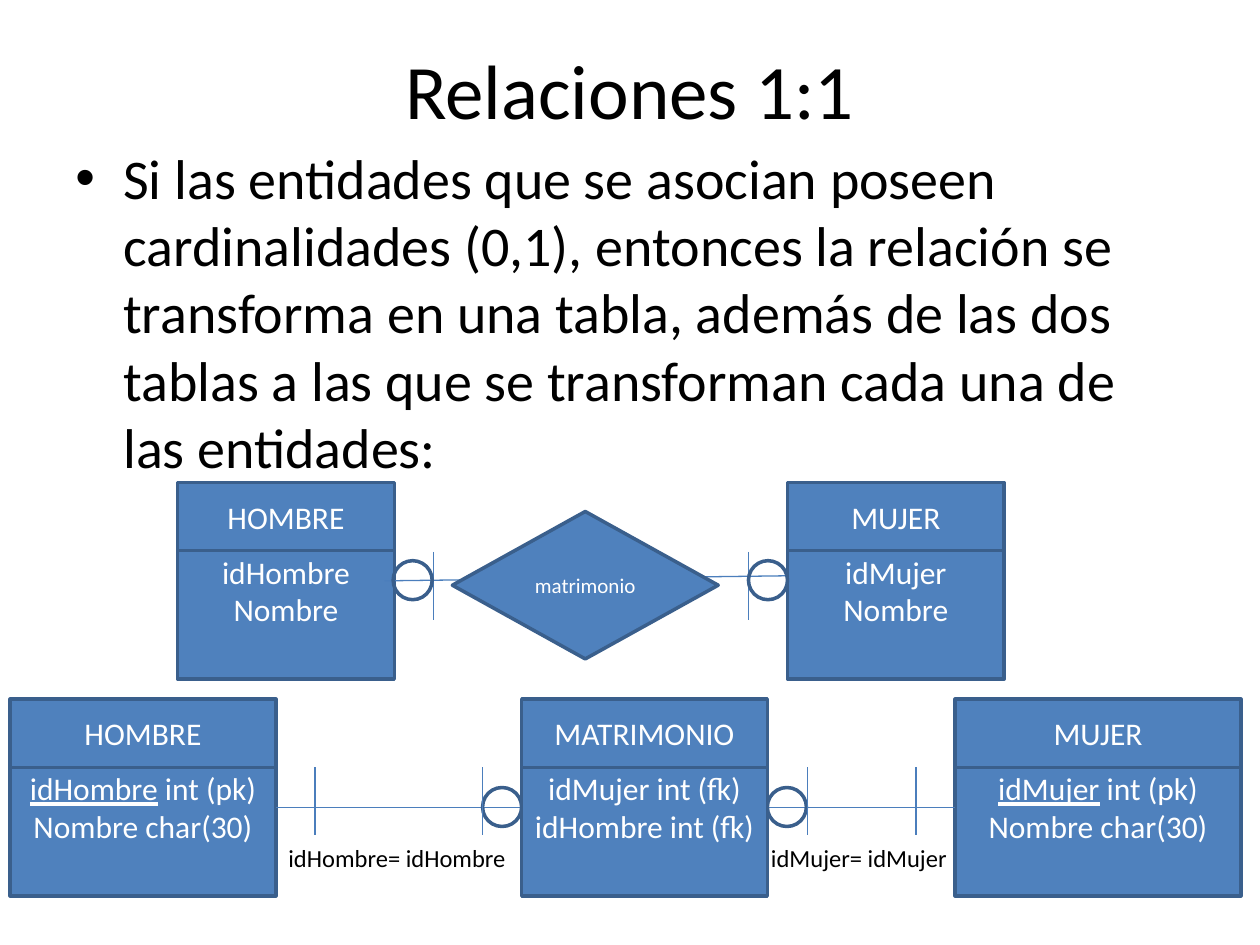
from dataclasses import dataclass

from lxml import etree
from pptx import Presentation
from pptx import util as u
from pptx.dml.color import RGBColor
from pptx.enum import shapes, text
from pptx.oxml import ns

FONT = "Calibri"
FILL, EDGE, WIRE = "4F81BD", "3A5F8C", "4B7EBC"
BLACK, WHITE = "000000", "FFFFFF"
HEAD, BODY, SHIFT = 0.54, 1.41, 0.15
RING, TICK = 0.31, 0.54
UPPER, LOWER = 3.83, 5.55


@dataclass
class Entity:
    x: float
    y: float
    w: float
    name: str
    rows: list[str]
    key: str = ""


@dataclass
class Wire:
    x1: float
    y1: float
    x2: float
    y2: float


@dataclass
class Label:
    x: float
    w: float
    words: str


def paint(target, color: str) -> None:
    target.rgb = RGBColor.from_string(color)


def style(par, size: float, color: str, align=text.PP_ALIGN.CENTER) -> None:
    par.alignment = align
    par.font.name = FONT
    par.font.size = u.Pt(size)
    paint(par.font.color, color)


def area(x: float, y: float, w: float, h: float) -> list:
    return [u.Inches(n) for n in (x, y, w, h)]


def draw_shape(slide, kind, box: list, rows=(), size=18, key="", solid=True) -> None:
    shape = slide.shapes.add_shape(kind, *box)
    shape.shadow.inherit = False
    if solid:
        shape.fill.solid()
        paint(shape.fill.fore_color, FILL)
    else:
        shape.fill.background()
    paint(shape.line.color, EDGE)
    shape.line.width = u.Pt(2)
    frame = shape.text_frame
    frame.word_wrap = True
    frame.vertical_anchor = text.MSO_ANCHOR.MIDDLE
    for i, row in enumerate(rows):
        par = frame.add_paragraph() if i else frame.paragraphs[0]
        style(par, size, WHITE)
        if key and row.startswith(key):
            run = par.add_run()
            run.text = key
            run.font.underline = True
            row = row.removeprefix(key)
        par.add_run().text = row


def draw_entity(slide, item: Entity) -> None:
    rect = shapes.MSO_SHAPE.RECTANGLE
    draw_shape(slide, rect, area(item.x, item.y + SHIFT, item.w, BODY), item.rows, key=item.key)
    draw_shape(slide, rect, area(item.x, item.y, item.w, HEAD), [item.name])


def draw_wire(slide, wire: Wire) -> None:
    ends = area(wire.x1, wire.y1, wire.x2, wire.y2)
    line = slide.shapes.add_connector(shapes.MSO_CONNECTOR.STRAIGHT, *ends)
    paint(line.line.color, WIRE)
    line.line.width = u.Pt(0.75)
    etree.SubElement(line._element.spPr, ns.qn("a:effectLst"))


def draw_tick(slide, x: float, y: float) -> None:
    draw_wire(slide, Wire(x, y, x, y + TICK))


def draw_ring(slide, x: float, y: float) -> None:
    draw_shape(slide, shapes.MSO_SHAPE.OVAL, area(x, y, RING, RING), solid=False)


def draw_text(slide, box: list, words: str, size: float):
    frame = slide.shapes.add_textbox(*box).text_frame
    frame.word_wrap = True
    par = frame.paragraphs[0]
    par.text = words
    style(par, size, BLACK, text.PP_ALIGN.LEFT)
    return par


def add_bullet(par) -> None:
    props = par._p.get_or_add_pPr()
    props.set("marL", str(u.Inches(0.38)))
    props.set("indent", str(u.Inches(-0.38)))
    font = etree.SubElement(props, ns.qn("a:buFont"))
    font.set("typeface", "Arial")
    etree.SubElement(props, ns.qn("a:buChar")).set("char", "•")


def draw_title(slide, words: str) -> None:
    title = slide.shapes.title
    title.left, title.top, title.width, title.height = area(0.5, 0.08, 9, 1.25)
    title.text_frame.text = words
    title.text_frame.vertical_anchor = text.MSO_ANCHOR.MIDDLE
    style(title.text_frame.paragraphs[0], 44, BLACK)


MODEL = [
    Entity(1.41, UPPER, 1.72, "HOMBRE", ["idHombre", "Nombre"]),
    Entity(6.25, UPPER, 1.72, "MUJER", ["idMujer", "Nombre"]),
]
OUTER = [
    Entity(0.08, LOWER, 2.11, "HOMBRE", ["idHombre int (pk)", "Nombre char(30)"], "idHombre"),
    Entity(7.58, LOWER, 2.27, "MUJER", ["idMujer int (pk)", "Nombre char(30)"], "idMujer"),
]
UNION = Entity(4.14, LOWER, 1.95, "MATRIMONIO", ["idMujer int (fk)", "idHombre int (fk)"])
LABELS = [Label(6.02, 1.72, "idMujer= idMujer"), Label(2.19, 1.95, "idHombre= idHombre")]
INTRO = (
    "Si las entidades que se asocian poseen cardinalidades (0,1), entonces la "
    "relación se transforma en una tabla, además de las dos tablas a las que se "
    "transforman cada una de las entidades:"
)


def main() -> None:
    deck = Presentation()
    deck.slide_width, deck.slide_height = u.Inches(10), u.Inches(7.5)
    slide = deck.slides.add_slide(deck.slide_layouts[5])
    draw_title(slide, "Relaciones 1:1")
    intro = draw_text(slide, area(0.5, 1.09, 9, 2.5), INTRO, 32)
    intro.space_before = u.Pt(6.4)
    add_bullet(intro)

    for item in MODEL:
        draw_entity(slide, item)
    draw_wire(slide, Wire(3.05, 4.61, 6.25, 4.57))
    for x in (3.44, 5.94):
        draw_tick(slide, x, 4.38)
    draw_shape(slide, shapes.MSO_SHAPE.DIAMOND, area(3.59, 4.06, 2.11, 1.17), ["matrimonio"], 12)
    for x in (5.94, 3.12):
        draw_ring(slide, x, 4.45)

    for item in OUTER:
        draw_entity(slide, item)
    draw_wire(slide, Wire(2.19, 6.41, 7.58, 6.41))
    for x in (6.09, 3.83):
        draw_ring(slide, x, 6.25)
    draw_entity(slide, UNION)
    for x in (2.5, 3.83, 6.41, 7.27):
        draw_tick(slide, x, 6.09)
    for label in LABELS:
        draw_text(slide, area(label.x, 6.64, label.w, 0.34), label.words, 14)
    deck.save("out.pptx")


if __name__ == "__main__":
    main()
